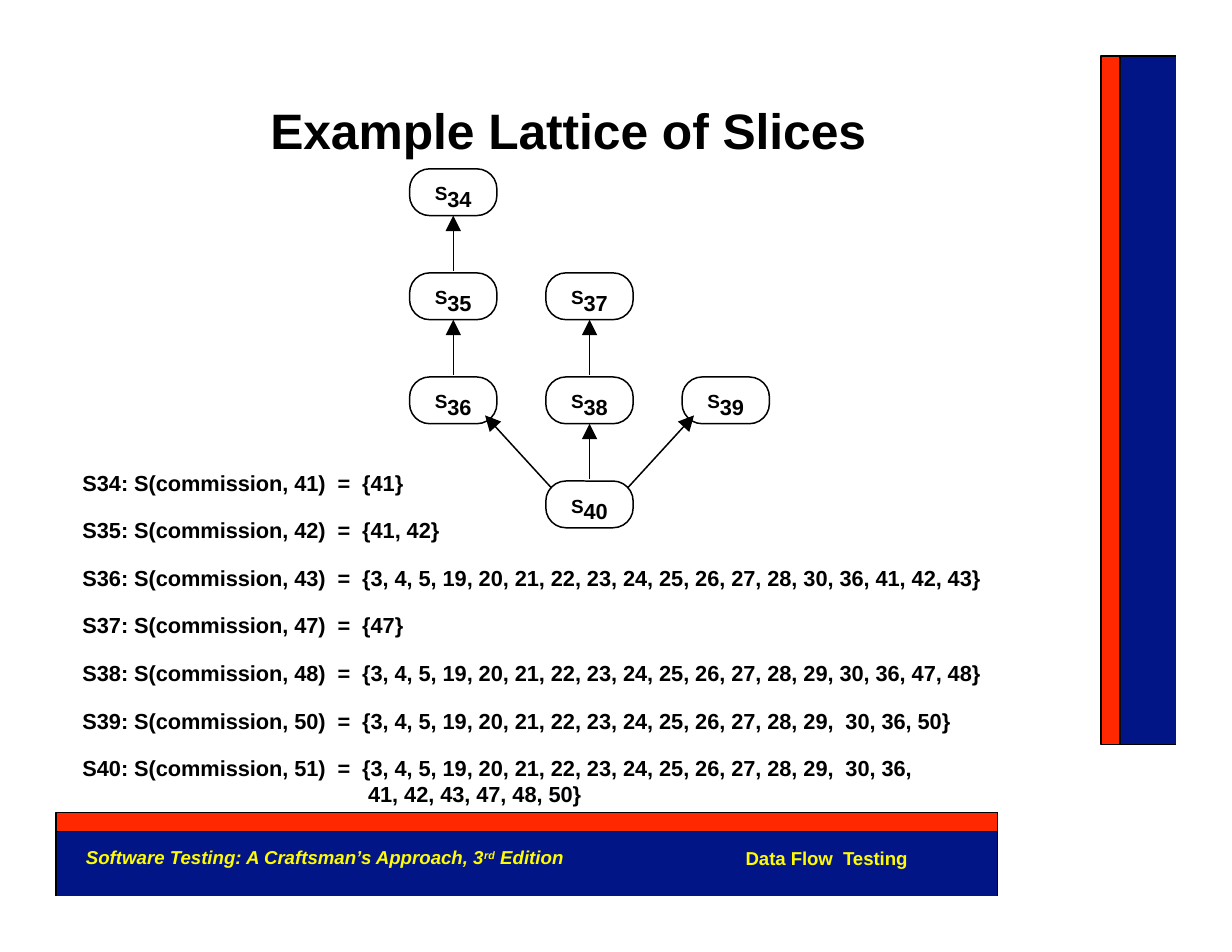
import pptx
import pptx.util
import pptx.dml.color
import pptx.enum.shapes
import pptx.enum.text
import pptx.oxml.ns
from lxml import etree
from dataclasses import dataclass

Cm, Pt = pptx.util.Cm, pptx.util.Pt


@dataclass(frozen=True)
class Theme:
    font: str = "Arial"
    black: str = "000000"
    navy: str = "021587"
    red: str = "FF2800"
    yellow: str = "FFFC00"
    title: int = 32
    body: int = 14
    footer: int = 12
    raised: int = 21
    bar_line: float = 0.72
    node_line: float = 0.96


THEME = Theme()

# Content
TITLE = "Example Lattice of Slices"
SLICES = [
    ("S34", 41, "41}"),
    ("S35", 42, "41, 42}"),
    ("S36", 43, "3, 4, 5, 19, 20, 21, 22, 23, 24, 25, 26, 27, 28, 30, 36, 41, 42, 43}"),
    ("S37", 47, "47}"),
    ("S38", 48, "3, 4, 5, 19, 20, 21, 22, 23, 24, 25, 26, 27, 28, 29, 30, 36, 47, 48}"),
    ("S39", 50, "3, 4, 5, 19, 20, 21, 22, 23, 24, 25, 26, 27, 28, 29,  30, 36, 50}"),
    ("S40", 51, "3, 4, 5, 19, 20, 21, 22, 23, 24, 25, 26, 27, 28, 29,  30, 36,"),
]
CONTINUATION = "41, 42, 43, 47, 48, 50}"
BOOK = [("Software Testing: A Craftsman’s Approach, 3", 0), ("rd", 28), (" Edition", 0)]
CHAPTER = "Data Flow  Testing"

# Lattice: node number -> (column, row), then edges from lower to upper node
NODES = {34: (0, 0), 35: (0, 1), 36: (0, 2), 37: (1, 1), 38: (1, 2), 39: (2, 2), 40: (1, 3)}
EDGES = [(35, 34), (36, 35), (38, 37), (40, 38), (40, 36), (40, 39)]
NODE_WIDTH, NODE_HEIGHT = 1.98, 1.06
LATTICE_LEFT, LATTICE_TOP = 9.29, 3.83
COLUMN_PITCH, ROW_PITCH = 3.09, 2.36

# Bars in cm: left, top, right, bottom, colour, side without an outline
BARS = [
    (25.4, 1.27, 26.67, 16.89, THEME.navy, "right"),
    (24.97, 1.27, 25.4, 16.89, THEME.red, None),
    (1.27, 18.85, 22.63, 20.32, THEME.navy, "bottom"),
    (1.27, 18.42, 22.63, 18.85, THEME.red, None),
]

presentation = pptx.Presentation()
presentation.slide_width, presentation.slide_height = Cm(27.94), Cm(21.59)
slide = presentation.slides.add_slide(presentation.slide_layouts[6])


def rgb(colour):
    return pptx.dml.color.RGBColor.from_string(colour)


def add_run(paragraph, text, size, colour=THEME.black, spacing=-0.05, italic=False, baseline=0):
    run = paragraph.add_run()
    run.text = text
    run.font.name, run.font.size = THEME.font, Pt(size)
    run.font.bold, run.font.italic = True, italic
    run.font.color.rgb = rgb(colour)
    properties = run.font._element
    properties.set("spc", str(round(spacing * 100)))
    if baseline:
        properties.set("baseline", str(baseline * 1000))


def clear_margins(frame):
    frame.margin_left = frame.margin_right = frame.margin_top = frame.margin_bottom = 0
    frame.vertical_anchor = pptx.enum.text.MSO_ANCHOR.TOP


def add_text_box(left, top, width, height):
    frame = slide.shapes.add_textbox(Cm(left), Cm(top), Cm(width), Cm(height)).text_frame
    frame.word_wrap = True
    clear_margins(frame)
    return frame


def add_bar(left, top, right, bottom, colour, open_side):
    corners = [(right, top), (left, top), (left, bottom), (right, bottom)]
    if open_side == "bottom":
        corners = [corners[3], *corners[:3]]
    points = [(Cm(x), Cm(y)) for x, y in corners]
    builder = slide.shapes.build_freeform(*points[0])
    builder.add_line_segments(points[1:], close=open_side is None)
    bar = builder.convert_to_shape()
    bar.shadow.inherit = False
    bar.fill.solid()
    bar.fill.fore_color.rgb = rgb(colour)
    bar.line.color.rgb = rgb(THEME.black)
    bar.line.width = Pt(THEME.bar_line)


def node_corner(number):
    column, row = NODES[number]
    return LATTICE_LEFT + column * COLUMN_PITCH, LATTICE_TOP + row * ROW_PITCH


def add_node(number):
    left, top = node_corner(number)
    node = slide.shapes.add_shape(pptx.enum.shapes.MSO_SHAPE.ROUNDED_RECTANGLE,
                                  Cm(left), Cm(top), Cm(NODE_WIDTH), Cm(NODE_HEIGHT))
    node.adjustments[0] = 0.43
    node.shadow.inherit = False
    node.fill.background()
    node.line.color.rgb = rgb(THEME.black)
    node.line.width = Pt(THEME.node_line)
    clear_margins(node.text_frame)
    paragraph = node.text_frame.paragraphs[0]
    paragraph.alignment = pptx.enum.text.PP_ALIGN.CENTER
    add_run(paragraph, "S", THEME.raised, spacing=-0.6, baseline=20)
    add_run(paragraph, str(number), THEME.body)


def add_edge(lower, upper):
    (x1, y1), (x2, y2) = node_corner(lower), node_corner(upper)
    half = NODE_WIDTH / 2
    side = NODES[upper][0] - NODES[lower][0]
    x1, x2, y2 = x1 + half, x2 + half, y2 + NODE_HEIGHT
    if side:  # diagonal edges touch the rounded corners
        x1, y1 = x1 + side * (half - 0.13), y1 + 0.16
        x2, y2 = x2 - side * (half - 0.27), y2 - 0.19
    else:
        y1 -= 0.05
    edge = slide.shapes.add_connector(pptx.enum.shapes.MSO_CONNECTOR.STRAIGHT,
                                      Cm(x1), Cm(y1), Cm(x2), Cm(y2))
    edge.line.color.rgb = rgb(THEME.black)
    edge.line.width = Pt(THEME.node_line)
    qn = pptx.oxml.ns.qn
    etree.SubElement(edge.line._get_or_add_ln(), qn("a:tailEnd"), type="triangle", w="lg", len="lg")
    etree.SubElement(edge._element.spPr, qn("a:effectLst"))


# Frame bars
for bar in BARS:
    add_bar(*bar)

# Title
heading = add_text_box(6.13, 2.27, 17.8, 1.34).paragraphs[0]
heading.line_spacing = Pt(38)
add_run(heading, TITLE, THEME.title)

# Lattice
for number in NODES:
    add_node(number)
for lower, upper in EDGES:
    add_edge(lower, upper)

# Slice definitions
definitions = add_text_box(1.87, 10.65, 21, 7.5)
for index, (name, line, statements) in enumerate(SLICES):
    paragraph = definitions.add_paragraph() if index else definitions.paragraphs[0]
    paragraph.space_before = Pt(13.75 if index else 0)
    add_run(paragraph, f"{name}: S(commission, {line})  =  {{{statements}", THEME.body)
paragraph = definitions.add_paragraph()
paragraph.space_before = Pt(0)
paragraph._p.get_or_add_pPr().set("marL", str(Cm(6.48)))
add_run(paragraph, CONTINUATION, THEME.body)

# Footer
book = add_text_box(1.95, 19.18, 11.2, 0.53).paragraphs[0]
for text, baseline in BOOK:
    add_run(book, text, THEME.footer, THEME.yellow, spacing=0, italic=True, baseline=baseline)
chapter = add_text_box(16.91, 19.2, 4.2, 0.5).paragraphs[0]
add_run(chapter, CHAPTER, THEME.footer, THEME.yellow)

presentation.save("out.pptx")
